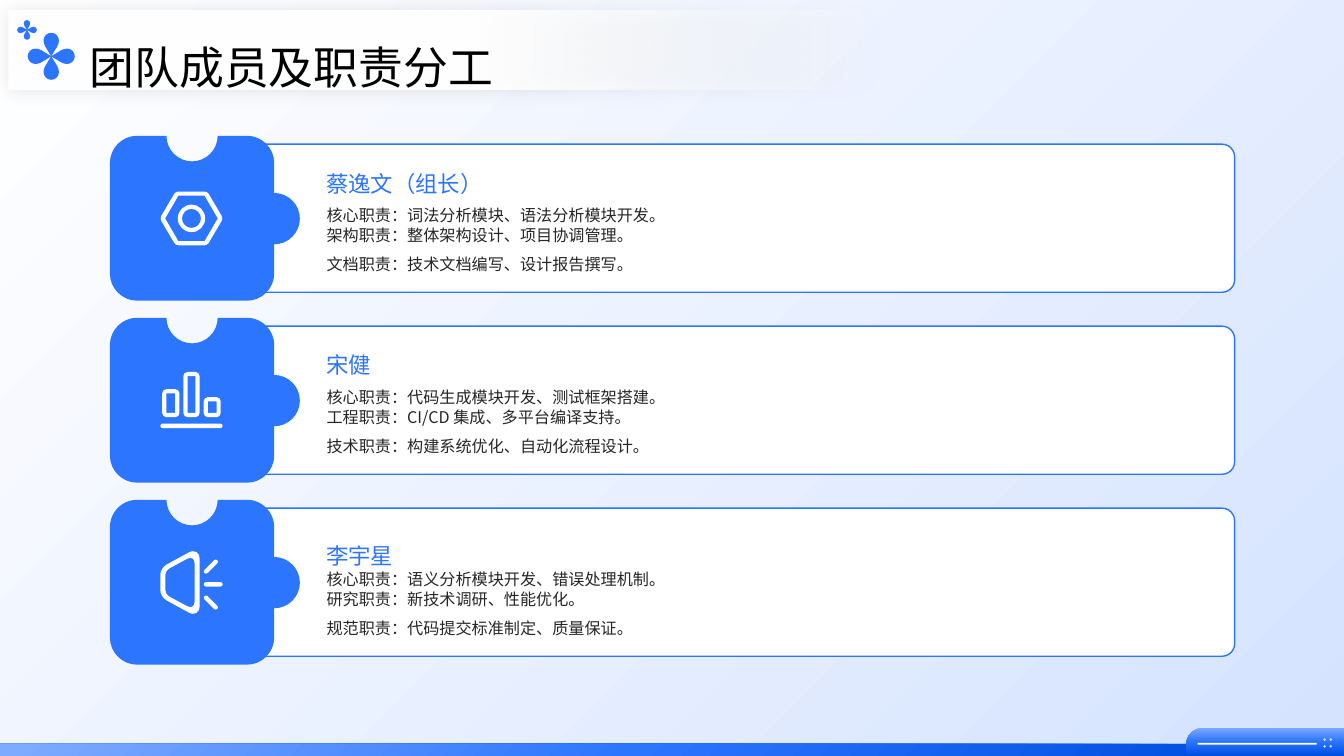
from math import hypot

from lxml.etree import SubElement
from pptx import Presentation
from pptx.dml.color import RGBColor
from pptx.enum.shapes import MSO_SHAPE
from pptx.enum.text import MSO_ANCHOR, MSO_AUTO_SIZE, PP_ALIGN
from pptx.oxml.ns import qn
from pptx.util import Pt

FONT = "Noto Sans CJK SC"
BLUE = RGBColor(0x2C, 0x75, 0xFF)
LIGHT_BLUE = RGBColor(0x7E, 0xAB, 0xFF)
DEEP_BLUE = RGBColor(0x00, 0x4E, 0xE0)
PALE_BLUE = RGBColor(0xD5, 0xE3, 0xFF)
WHITE = RGBColor(0xFF, 0xFF, 0xFF)
BLACK = RGBColor(0, 0, 0)
DARK = RGBColor(0x26, 0x26, 0x26)

TITLE = "团队成员及职责分工"
MEMBERS = [
    ("蔡逸文（组长）", 111, [
        "核心职责：词法分析模块、语法分析模块开发。",
        "架构职责：整体架构设计、项目协调管理。",
        "文档职责：技术文档编写、设计报告撰写。"]),
    ("宋健", 239.8, [
        "核心职责：代码生成模块开发、测试框架搭建。",
        "工程职责：CI/CD 集成、多平台编译支持。",
        "技术职责：构建系统优化、自动化流程设计。"]),
    ("李宇星", 376.6, [
        "核心职责：语义分析模块开发、错误处理机制。",
        "研究职责：新技术调研、性能优化。",
        "规范职责：代码提交标准制定、质量保证。"]),
]
PAGE_WIDTH, PAGE_HEIGHT = 960, 540
ROW_LEFT, ROW_TOP, ROW_PITCH = 78.5, 97, 130


def rounded(corners):
    points = []
    for index, (x, y, radius) in enumerate(corners):
        if not radius:
            points.append((x, y, False))
            continue
        ends = []
        for other in (corners[index - 1], corners[(index + 1) % len(corners)]):
            length = hypot(other[0] - x, other[1] - y)
            ends.append(((other[0] - x) / length * radius, (other[1] - y) / length * radius))
        (ax, ay), (bx, by) = ends
        points += [(x + ax, y + ay, False), (x + ax * 0.45, y + ay * 0.45, True),
                   (x + bx * 0.45, y + by * 0.45, True), (x + bx, y + by, True)]
    return points


def box(left, top, right, bottom, radius):
    return rounded([(left, top, radius), (right, top, radius),
                    (right, bottom, radius), (left, bottom, radius)])


def circle(x, y, radius):
    return box(x - radius, y - radius, x + radius, y + radius, radius)


def capsule(x1, y1, x2, y2, width=3.2):
    half = width / 2
    length = hypot(x2 - x1, y2 - y1)
    ux, uy = (x2 - x1) / length * half, (y2 - y1) / length * half
    return rounded([(x1 - ux - uy, y1 - uy + ux, half), (x2 + ux - uy, y2 + uy + ux, half),
                    (x2 + ux + uy, y2 + uy - ux, half), (x1 - ux + uy, y1 - uy - ux, half)])


def hexagon(x, y, half_width, half_height, radius):
    slant = half_width / 2
    return rounded([(x - half_width, y, radius), (x - slant, y - half_height, radius),
                    (x + slant, y - half_height, radius), (x + half_width, y, radius),
                    (x + slant, y + half_height, radius), (x - slant, y + half_height, radius)])


def bar(left, top, right, bottom=71):
    return [box(left, top, right, bottom, 3),
            box(left + 3, top + 3, right - 3, bottom - 3, 0)]


def flower(x, y, scale):
    petal = rounded([(0, 0, 0), (-5.5, -9, 2.3), (-5.5, -16.8, 5.5),
                     (5.5, -16.8, 5.5), (5.5, -9, 2.3)])
    contours = []
    for turn in range(4):
        contours.append([(x + px * scale, y + py * scale, curved) for px, py, curved in petal])
        petal = [(-py, px, curved) for px, py, curved in petal]
    return contours


def paint(shape, fill=None, line=None):
    shape.shadow.inherit = False
    if fill is not None:
        shape.fill.solid()
        shape.fill.fore_color.rgb = fill
    if line is None:
        shape.line.fill.background()
    else:
        shape.line.color.rgb = line
        shape.line.width = Pt(1)
    return shape


def gradient(shape, stops, angle=None):
    shape.fill.gradient()
    grad = shape.element.spPr.find(qn("a:gradFill"))
    for child in list(grad):
        grad.remove(child)
    stop_list = SubElement(grad, qn("a:gsLst"))
    for position, color, alpha in stops:
        stop = SubElement(stop_list, qn("a:gs"), pos=str(position * 1000))
        tint = SubElement(stop, qn("a:srgbClr"), val=str(color))
        if alpha < 100:
            SubElement(tint, qn("a:alpha"), val=str(alpha * 1000))
    if angle is None:
        radial = SubElement(grad, qn("a:path"), path="circle")
        SubElement(radial, qn("a:fillToRect"), r="100000", b="100000")
    else:
        SubElement(grad, qn("a:lin"), ang=str(angle * 60000), scaled="0")


def add_preset(page, kind, left, top, width, height, fill=None, line=None):
    shape = page.shapes.add_shape(kind, Pt(left), Pt(top), Pt(width), Pt(height))
    return paint(shape, fill, line)


def bend(shape, contours):
    outline = next(shape.element.iter(qn("a:path")))
    steps = [step for step in outline if step.tag != qn("a:close")]
    flags = [curved for contour in contours for x, y, curved in contour]
    curved_steps = [step for step, curved in zip(steps, flags) if curved]
    for first in range(0, len(curved_steps), 3):
        start, *rest = curved_steps[first:first + 3]
        start.tag = qn("a:cubicBezTo")
        for step in rest:
            start.append(step[0])
            outline.remove(step)


def add_outline(page, contours, fill=None, left=0, top=0):
    builder = None
    for contour in contours:
        points = [(Pt(left + x), Pt(top + y)) for x, y, curved in contour]
        if builder is None:
            builder = page.shapes.build_freeform(*points[0], scale=1.0)
        else:
            builder.move_to(*points[0])
        builder.add_line_segments(points[1:], close=True)
    shape = builder.convert_to_shape()
    bend(shape, contours)
    return paint(shape, fill)


def write(shape, lines, size, color, spacing, last_gap=0):
    frame = shape.text_frame
    frame.auto_size = MSO_AUTO_SIZE.NONE
    frame.word_wrap = True
    frame.vertical_anchor = MSO_ANCHOR.TOP
    frame.margin_left = frame.margin_right = frame.margin_top = frame.margin_bottom = 0
    for index, line in enumerate(lines):
        para = frame.add_paragraph() if index else frame.paragraphs[0]
        para.alignment = PP_ALIGN.LEFT
        para.line_spacing = Pt(spacing)
        para.space_before = Pt(last_gap if index and index == len(lines) - 1 else 0)
        span = para.add_run()
        span.text = line
        span.font.size = Pt(size)
        span.font.color.rgb = color
        span.font.name = FONT
        SubElement(span.font._element, qn("a:ea"), typeface=FONT)


def add_text(page, lines, left, top, width, height, **style):
    write(page.shapes.add_textbox(Pt(left), Pt(top), Pt(width), Pt(height)), lines, **style)


def add_backdrop(page):
    backdrop = add_preset(page, MSO_SHAPE.RECTANGLE, 0, 0, PAGE_WIDTH, PAGE_HEIGHT)
    gradient(backdrop, [(0, WHITE, 100), (100, PALE_BLUE, 100)], 45)
    strip = add_outline(page, [rounded([(0, 531.4, 0), (885, 531.4, 5), (885, 540, 0), (0, 540, 0)])])
    gradient(strip, [(1, LIGHT_BLUE, 100), (51, BLUE, 100), (100, DEEP_BLUE, 100)])
    tab = add_outline(page, [rounded([(847.4, 519.8, 12), (960, 519.8, 0), (960, 540, 0), (847.4, 540, 0)])])
    gradient(tab, [(0, LIGHT_BLUE, 100), (49, BLUE, 100), (100, DEEP_BLUE, 100)], 90)
    add_preset(page, MSO_SHAPE.RECTANGLE, 855.4, 530.6, 85, 1.4, WHITE)
    add_outline(page, [circle(x, y, 1) for x in (946.2, 950.6) for y in (528.3, 533.1)], PALE_BLUE)


def add_header(page):
    banner = add_preset(page, MSO_SHAPE.RECTANGLE, 6.5, 7.2, 831.6, 56.9)
    gradient(banner, [(25, WHITE, 0), (60, WHITE, 100)], 180)
    effects = banner.element.spPr.find(qn("a:effectLst"))
    shadow = SubElement(effects, qn("a:outerShdw"), blurRad=str(int(Pt(13))), dist="0", dir="0")
    SubElement(SubElement(shadow, qn("a:srgbClr"), val=str(BLACK)), qn("a:alpha"), val="10000")
    title = page.shapes.title
    title.element.getparent().append(title.element)
    title.left, title.top, title.width, title.height = Pt(64), Pt(18.7), Pt(612.7), Pt(48)
    write(title, [TITLE], size=32, color=BLACK, spacing=48)
    add_outline(page, flower(36.6, 40.2, 1), BLUE)
    add_outline(page, flower(19.3, 21.4, 0.42), BLUE)


PUZZLE = rounded([
    (0, 0, 19.5), (40.4, 0, 0), (40.4, 18.3, 18.3), (77, 18.3, 18.3), (77, 0, 0),
    (117.4, 0, 19.5), (117.4, 40.9, 0), (135.7, 40.9, 18.3), (135.7, 77.5, 18.3),
    (117.4, 77.5, 0), (117.4, 117.8, 19.5), (0, 117.8, 19.5)])
NUT = [hexagon(58.3, 59, 22.6, 19.2, 2), hexagon(58.3, 59, 18.8, 16.2, 0),
       circle(58.3, 59, 9.8), circle(58.3, 59, 6.8)]
CHART = bar(37.4, 51, 49.7) + bar(52.5, 38.7, 64.1) + bar(67, 56.7, 79.2) + [capsule(37.6, 77.2, 79, 77.2)]
SPEAKER = [rounded([(36, 48.8, 5), (64.1, 33.4, 9), (64.1, 84.8, 9), (36, 69.4, 5)]),
           rounded([(39.6, 50.6, 3), (60.5, 39.3, 6), (60.5, 78.9, 6), (39.6, 67.6, 3)]),
           capsule(68.7, 51.2, 75.6, 44.3), capsule(68.7, 60.4, 79, 60.4), capsule(68.7, 70, 75.6, 76.9)]


def main():
    deck = Presentation()
    deck.slide_width, deck.slide_height = Pt(PAGE_WIDTH), Pt(PAGE_HEIGHT)
    page = deck.slides.add_slide(deck.slide_layouts[5])
    add_backdrop(page)
    for row, ((name, name_top, duties), icon) in enumerate(zip(MEMBERS, (NUT, CHART, SPEAKER))):
        top = ROW_TOP + ROW_PITCH * row
        card = add_preset(page, MSO_SHAPE.ROUNDED_RECTANGLE, 177.1, top + 6, 704.8, 105.8, WHITE, BLUE)
        card.adjustments[0] = 0.085
        add_outline(page, [PUZZLE], BLUE, ROW_LEFT, top)
        add_outline(page, icon, WHITE, ROW_LEFT, top)
        add_text(page, duties, 233.3, top + 50, 628.6, 52.6, size=11.5, color=DARK, spacing=13.8, last_gap=7)
        add_text(page, [name], 233, name_top, 628.6, 30.2, size=16, color=BLUE, spacing=30)
    add_header(page)
    deck.save("out.pptx")


if __name__ == "__main__":
    main()
